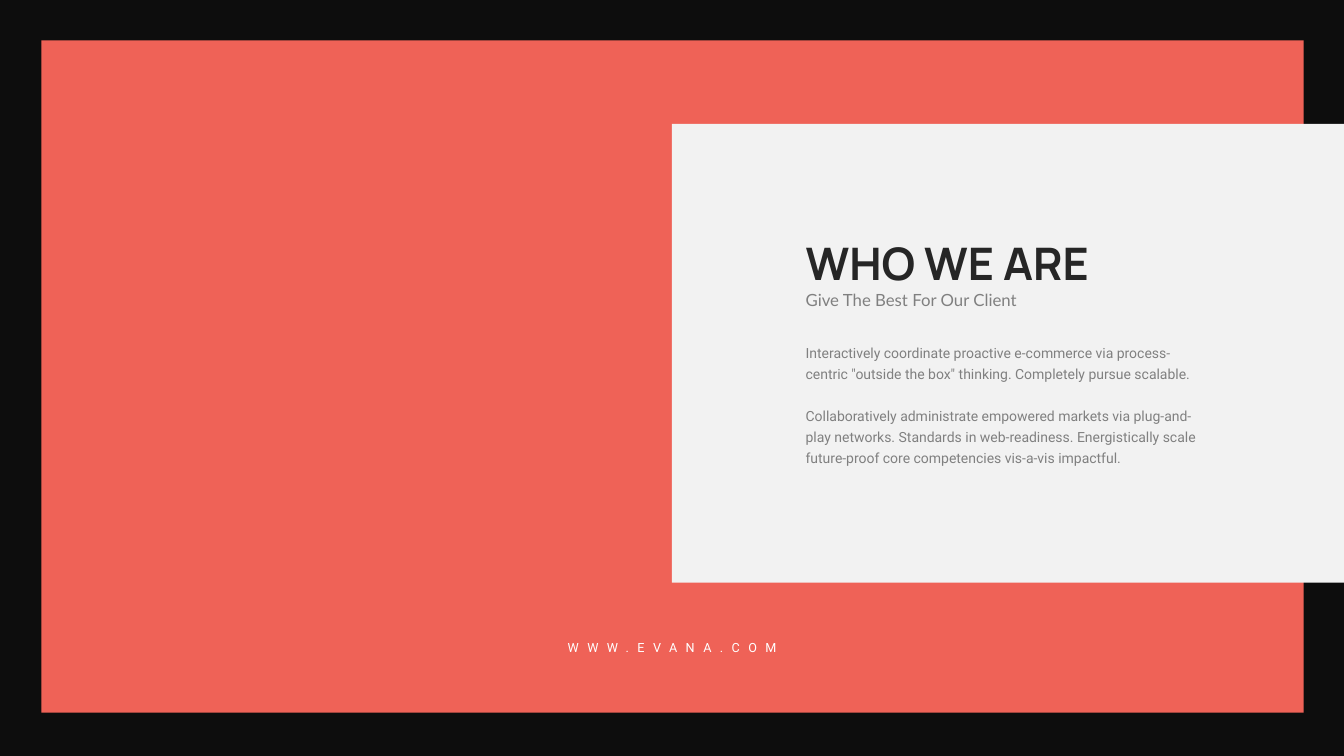
from pptx import Presentation
from pptx import util as u
from pptx.dml.color import RGBColor
from pptx.enum import shapes, text

WIDE, HIGH = 13.33, 7.5
BACK = "0D0D0D"
LEFT, SPAN = 7.99, 4.02

PANELS = [
    ("EF6257", (0.41, 0.4, WIDE - 0.81, 6.67)),
    ("F2F2F2", (WIDE / 2, 1.23, WIDE / 2, 4.55)),
]
HEAD = ["WHO WE ARE"]
LEAD = ["Give The Best For Our Client"]
STORY = [
    'Interactively coordinate proactive e-commerce via process-centric '
    '"outside the box" thinking. Completely pursue scalable.',
    "Collaboratively administrate empowered markets via plug-and-play networks. "
    "Standards in web-readiness. Energistically scale future-proof core "
    "competencies vis-a-vis impactful.",
]
SITE = ["WWW.EVANA.COM"]

FONTS = {
    "head": dict(name="Manrope", size=u.Pt(32), bold=True),
    "lead": dict(name="Lato", size=u.Pt(12), bold=False),
    "story": dict(name="Roboto", size=u.Pt(10), bold=False),
    "site": dict(name="Roboto", size=u.Pt(9), bold=False),
}
FRAME = dict(word_wrap=True, auto_size=text.MSO_AUTO_SIZE.NONE,
             margin_left=0, margin_right=0, margin_top=0, margin_bottom=0)


def color(code):
    return RGBColor.from_string(code)


def place(shape, box):
    for key, val in zip(("left", "top", "width", "height"), box):
        setattr(shape, key, u.Inches(val))


def write(shape, box, lines, style, code, lead=1.0, gap=0,
          align=text.PP_ALIGN.LEFT, anchor=text.MSO_ANCHOR.TOP):
    place(shape, box)
    frame = shape.text_frame
    for key, val in FRAME.items():
        setattr(frame, key, val)
    frame.vertical_anchor = anchor
    for num, line in enumerate(lines):
        para = frame.add_paragraph() if num else frame.paragraphs[0]
        props = para._p.get_or_add_pPr()
        props.set("marL", "0")
        props.set("indent", "0")
        props.get_or_add_buNone() if hasattr(props, "get_or_add_buNone") else \
            props.append(props.makeelement(
                "{http://schemas.openxmlformats.org/drawingml/2006/main}buNone", {}))
        para.alignment = align
        para.line_spacing = lead
        para.space_before = u.Pt(gap if num else 0)
        run = para.add_run()
        run.text = line
        for key, val in FONTS[style].items():
            setattr(run.font, key, val)
        run.font.color.rgb = color(code)
    return frame


def main():
    deck = Presentation()
    deck.slide_width, deck.slide_height = u.Inches(WIDE), u.Inches(HIGH)
    slide = deck.slides.add_slide(deck.slide_layouts[1])
    fill = slide.background.fill
    fill.solid()
    fill.fore_color.rgb = color(BACK)
    tree = slide.shapes

    for code, box in PANELS:
        panel = tree.add_shape(shapes.MSO_SHAPE.RECTANGLE, 0, 0, 0, 0)
        place(panel, box)
        panel.shadow.inherit = False
        panel.fill.solid()
        panel.fill.fore_color.rgb = color(code)
        panel.line.fill.background()

    title, body = tree.title, slide.placeholders[1]
    for holder in (title, body):
        tree._spTree.append(holder._element)

    write(title, (LEFT, 2.38, SPAN, 0.49), HEAD, "head", "262626",
          lead=u.Pt(35), anchor=text.MSO_ANCHOR.MIDDLE)
    write(body, (LEFT, 3.38, SPAN, 1.25), STORY, "story", "808080",
          lead=u.Pt(15), gap=15)
    write(tree.add_textbox(0, 0, 0, 0), (LEFT, 2.87, SPAN, 0.2),
          LEAD, "lead", "808080")
    site = write(tree.add_textbox(0, 0, 0, 0), (WIDE / 2 - 1.25, 6.35, 2.5, 0.15),
                 SITE, "site", "FFFFFF", align=text.PP_ALIGN.CENTER)
    site.paragraphs[0].runs[0].font._element.set("spc", "600")

    deck.save("out.pptx")


if __name__ == "__main__":
    main()
